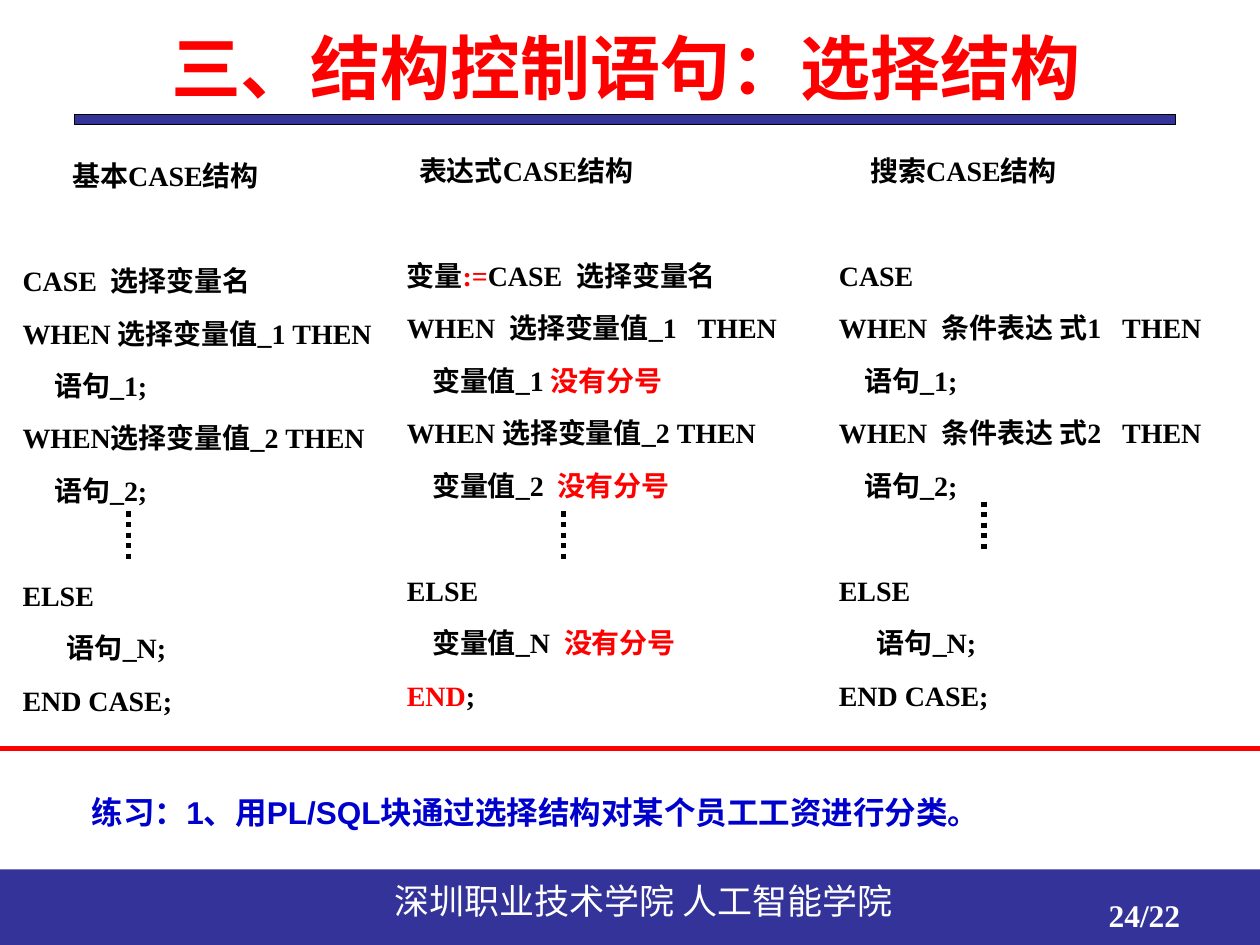
import dataclasses

import pptx
import pptx.dml.color
import pptx.enum.dml
import pptx.enum.shapes
import pptx.enum.text
import pptx.oxml
import pptx.oxml.ns
import pptx.util

Pt = pptx.util.Pt
ANCHOR = pptx.enum.text.MSO_ANCHOR
ALIGN = pptx.enum.text.PP_ALIGN


@dataclasses.dataclass(frozen=True)
class Theme:
    red: str = "FF0000"
    navy: str = "333399"
    blue: str = "0000CC"
    black: str = "000000"
    white: str = "FFFFFF"
    cjk: str = "Noto Sans CJK SC"
    serif: str = "Times New Roman"
    sans: str = "Arial"
    title_size: int = 40
    footer_size: int = 20
    note_size: int = 18
    code_size: int = 16
    line_pitch: int = 30


def rgb(value):
    return pptx.dml.color.RGBColor.from_string(value)


def apply(target, values):
    for name, value in values.items():
        setattr(target, name, value)


class SlideBuilder:
    def __init__(self, page, theme):
        self.page = page
        self.theme = theme

    def span(self, para, text, font, size, color, bold=True):
        span = para.add_run()
        span.text = text
        apply(span.font, {"name": font, "size": Pt(size), "bold": bold})
        span.font.color.rgb = rgb(color)
        east_asian = pptx.oxml.parse_xml(
            f'<a:ea {pptx.oxml.ns.nsdecls("a")} typeface="{self.theme.cjk}"/>')
        span.font._element.append(east_asian)

    def title(self, text, left, top, width, height):
        box = self.page.shapes.title
        apply(box, {"left": Pt(left), "top": Pt(top),
                    "width": Pt(width), "height": Pt(height)})
        apply(box.text_frame, {"vertical_anchor": ANCHOR.MIDDLE, "word_wrap": True,
                               "auto_size": pptx.enum.text.MSO_AUTO_SIZE.NONE})
        para = box.text_frame.paragraphs[0]
        para.alignment = ALIGN.CENTER
        self.span(para, text, self.theme.cjk, self.theme.title_size, self.theme.red)

    def frame(self, left, top, width, height, anchor=ANCHOR.TOP):
        box = self.page.shapes.add_textbox(Pt(left), Pt(top), Pt(width), Pt(height))
        apply(box.text_frame, {"word_wrap": True, "vertical_anchor": anchor})
        return box.text_frame

    def label(self, text, place, anchor=ANCHOR.TOP, **style):
        self.span(self.frame(*place, anchor).paragraphs[0], text, **style)

    def bar(self, left, top, width, height, outline=None):
        shape = self.page.shapes.add_shape(
            pptx.enum.shapes.MSO_SHAPE.RECTANGLE,
            Pt(left), Pt(top), Pt(width), Pt(height))
        shape.shadow.inherit = False
        shape.fill.solid()
        shape.fill.fore_color.rgb = rgb(self.theme.navy)
        if outline:
            shape.line.color.rgb = rgb(outline)
            shape.line.width = Pt(0.75)
        else:
            shape.line.fill.background()

    def line(self, start, end, color, dash=None):
        connector = self.page.shapes.add_connector(
            pptx.enum.shapes.MSO_CONNECTOR.STRAIGHT, *map(Pt, start + end))
        connector.line.color.rgb = rgb(color)
        apply(connector.line, {"width": Pt(3), "dash_style": dash})
        connector._element.spPr.append(pptx.oxml.parse_xml(
            f'<a:effectLst {pptx.oxml.ns.nsdecls("a")}/>'))

    def code_column(self, place, heading, indent, code, dots):
        theme = self.theme
        frame = self.frame(*place)
        for index, text in enumerate([heading] + code):
            para = frame.paragraphs[0] if index == 0 else frame.add_paragraph()
            para.line_spacing = Pt(theme.line_pitch)
            if index == 0:
                para._p.get_or_add_pPr().set("marL", str(Pt(indent)))
            elif index == 1 or text == "ELSE":
                para.space_before = Pt(theme.line_pitch)
            for part, words in enumerate(text.split("|")):
                if words:
                    color = theme.red if part % 2 else theme.black
                    self.span(para, words, theme.serif, theme.code_size, color)
        x, y = dots
        self.line((x, y), (x, y + 28), theme.black,
                  pptx.enum.dml.MSO_LINE.ROUND_DOT)


def main():
    deck = pptx.Presentation()
    apply(deck, {"slide_width": Pt(720), "slide_height": Pt(540)})
    theme = Theme()
    slide = SlideBuilder(deck.slides.add_slide(deck.slide_layouts[5]), theme)

    slide.bar(0, 496.8, 720, 43.2)
    slide.bar(42.5, 65.5, 629.3, 5.8, theme.black)
    slide.label("深圳职业技术学院 人工智能学院", (218.2, 499, 355.7, 31.7),
                font=theme.cjk, size=theme.footer_size, color=theme.white, bold=False)
    slide.title("三、结构控制语句：选择结构", 42.5, 9.4, 630, 56.9)

    slide.code_column((5.8, 76.3, 444.2, 463.7), "基本CASE结构", 28.5, [
        "CASE  选择变量名",
        "WHEN 选择变量值_1 THEN",
        "     语句_1;",
        "WHEN选择变量值_2 THEN",
        "     语句_2;",
        "ELSE",
        "       语句_N;",
        "END CASE;",
    ], (73.4, 292.3))
    slide.code_column((225.4, 73.4, 494.6, 463.7), "表达式CASE结构", 7, [
        "变量|:=|CASE  选择变量名",
        "WHEN  选择变量值_1   THEN",
        "    变量值_1 |没有分号",
        "WHEN 选择变量值_2 THEN",
        "    变量值_2  |没有分号",
        "ELSE",
        "    变量值_N  |没有分号",
        "|END|;",
    ], (321.8, 292.3))
    slide.code_column((472.3, 73.4, 247.7, 463.7), "搜索CASE结构", 18, [
        "CASE",
        "WHEN  条件表达 式1   THEN",
        "    语句_1;",
        "WHEN  条件表达 式2   THEN",
        "    语句_2;",
        "ELSE",
        "      语句_N;",
        "END CASE;",
    ], (562.3, 286.6))

    slide.line((0, 427.7), (720, 427.7), theme.red)
    slide.label("练习：1、用PL/SQL块通过选择结构对某个员工工资进行分类。",
                (45.4, 427.7, 663.8, 72), ANCHOR.MIDDLE,
                font=theme.sans, size=theme.note_size, color=theme.blue)
    slide.label("24/22", (626.4, 508.3, 93.6, 31.7),
                font=theme.serif, size=theme.note_size, color=theme.white)

    deck.save("out.pptx")


if __name__ == "__main__":
    main()
